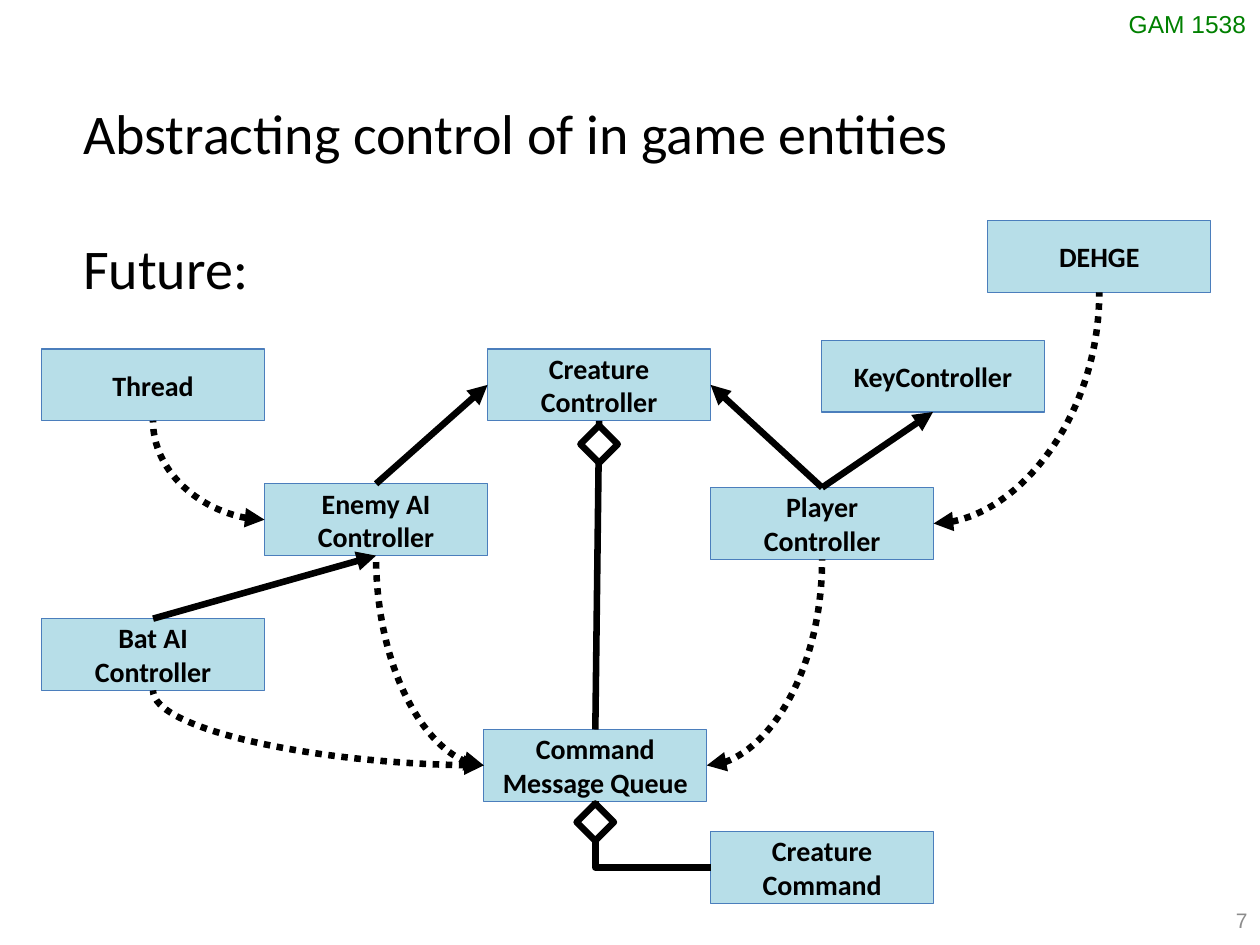
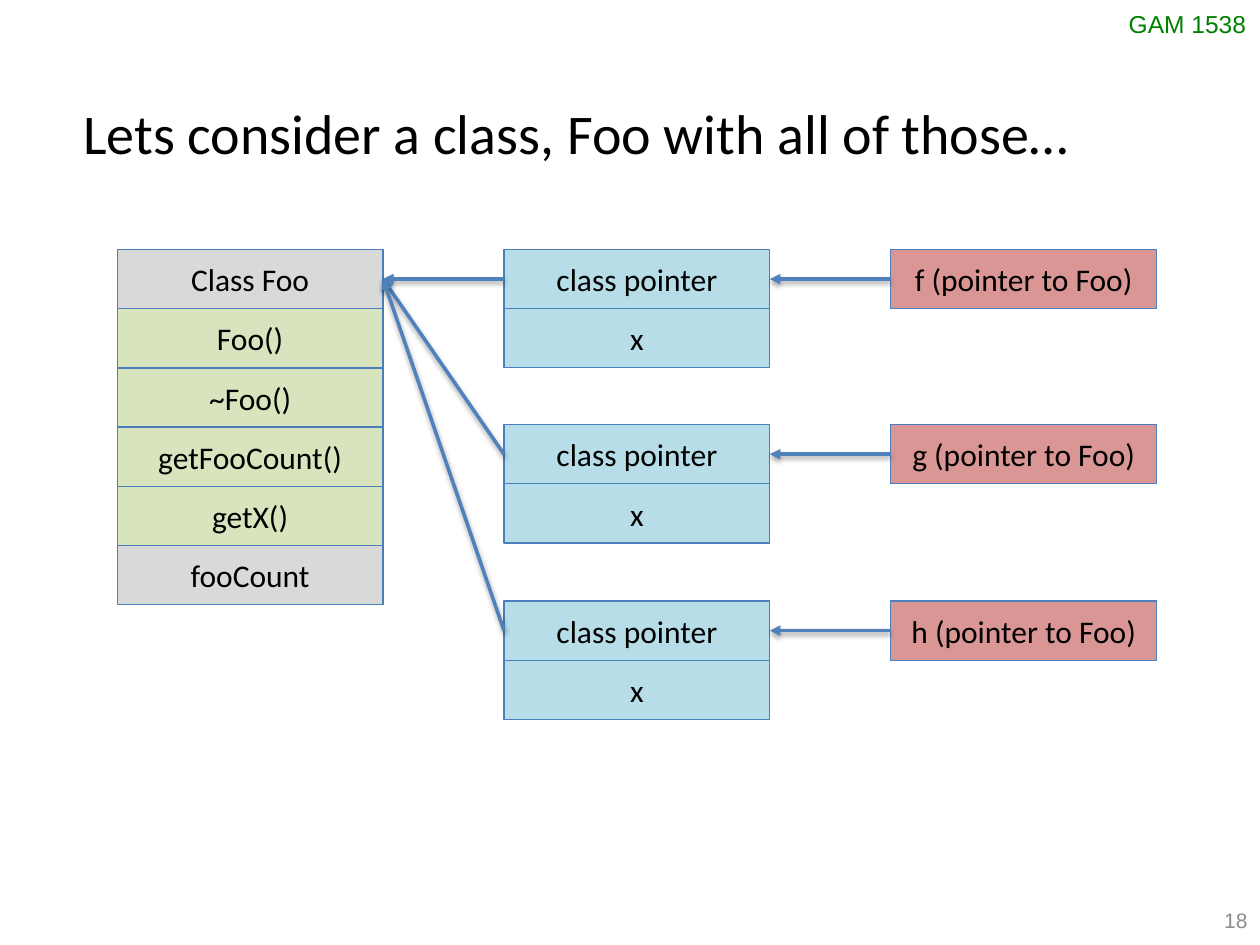
"""Build two class-diagram slides: game controllers and the layout of class Foo."""
from lxml import etree
from pptx import Presentation
from pptx.dml.color import RGBColor
from pptx.enum.dml import MSO_LINE
from pptx.enum.shapes import MSO_CONNECTOR, MSO_SHAPE
from pptx.enum.text import MSO_ANCHOR, MSO_AUTO_SIZE, PP_ALIGN
from pptx.oxml.ns import qn
from pptx.util import Inches, Pt

STRAIGHT, CURVE, ELBOW = MSO_CONNECTOR.STRAIGHT, MSO_CONNECTOR.CURVE, MSO_CONNECTOR.ELBOW
RECTANGLE = MSO_SHAPE.RECTANGLE
DOTTED = MSO_LINE.ROUND_DOT
LEFT_ALIGN, CENTER, RIGHT_ALIGN = PP_ALIGN.LEFT, PP_ALIGN.CENTER, PP_ALIGN.RIGHT
ANCHOR_TOP, ANCHOR_MIDDLE = MSO_ANCHOR.TOP, MSO_ANCHOR.MIDDLE
NO_AUTOFIT = MSO_AUTO_SIZE.NONE
TOP, LEFT, BOTTOM, RIGHT = range(4)

COLORS = {
    "black": "000000", "white": "FFFFFF", "course": "008000", "number": "8C8C8C",
    "blue": "B7DEE8", "green": "D7E4BD", "grey": "D9D9D9", "red": "D99694",
    "outline": "4B7EBC", "pointer": "4F81BD",
}
FORMATS = {
    "title": {"name": "Calibri", "size": Pt(32)},
    "course": {"name": "Arial", "size": Pt(14)},
    "number": {"name": "Arial", "size": Pt(12)},
    "class": {"name": "Calibri", "size": Pt(16), "bold": True},
    "member": {"name": "Calibri", "size": Pt(18)},
}
ONE_BEND = {CURVE: "curvedConnector2", ELBOW: "bentConnector2"}


def color(name):
    return RGBColor.from_string(COLORS[name])


def write_text(shape, text, style, ink, align, anchor, wrap=True):
    frame = shape.text_frame
    frame.text = text
    frame.word_wrap = wrap
    frame.auto_size = NO_AUTOFIT
    frame.vertical_anchor = anchor
    for paragraph in frame.paragraphs:
        paragraph.alignment = align
        for run in paragraph.runs:
            run.font.color.rgb = color(ink)
            for attribute, value in FORMATS[style].items():
                setattr(run.font, attribute, value)


controllers = {
    "creature command": (5.64, 6.6, "Creature\vCommand", "blue"),
    "queue": (3.84, 5.79, "Command\vMessage Queue", "blue"),
    "enemy": (2.1, 3.84, "Enemy AI\nController", "blue"),
    "bat": (0.33, 4.91, "Bat AI\nController", "blue"),
    "player": (5.64, 3.87, "Player\nController", "blue"),
    "thread": (0.33, 2.77, "Thread", "blue"),
    "key": (6.52, 2.7, "KeyController", "blue"),
    "creature": (3.87, 2.77, "Creature\nController", "blue"),
    "engine": (7.84, 1.75, "DEHGE", "blue"),
}
controller_links = [
    (STRAIGHT, "player", TOP, "key", BOTTOM, "tailEnd"),
    (STRAIGHT, "player", TOP, "creature", RIGHT, "tailEnd"),
    (STRAIGHT, "enemy", TOP, "creature", LEFT, "tailEnd"),
    (STRAIGHT, "bat", TOP, "enemy", BOTTOM, "tailEnd"),
    (STRAIGHT, "queue", TOP, "creature", BOTTOM, None),
    (ELBOW, "creature command", LEFT, "queue", BOTTOM, None),
    (CURVE, "enemy", LEFT, "thread", BOTTOM, "headEnd"),
    (CURVE, "player", RIGHT, "engine", BOTTOM, "headEnd"),
    (CURVE, "queue", RIGHT, "player", BOTTOM, "headEnd"),
    (CURVE, "queue", LEFT, "bat", BOTTOM, "headEnd"),
    (CURVE, "queue", LEFT, "enemy", BOTTOM, "headEnd"),
]

class_left, object_left, pointer_left = [0.93 + 3.07 * column for column in range(3)]
object_tops = [1.98, 3.37, 4.77]
row_height = 0.47
members = {}
class_rows = ["Class Foo", "Foo()", "~Foo()", "getFooCount()", "getX()", "fooCount"]
for row, label in enumerate(class_rows):
    fill = "grey" if row in (0, len(class_rows) - 1) else "green"
    members[label] = (class_left, object_tops[0] + row * row_height, label, fill)
member_links = []
for pointer, top in zip("fgh", object_tops):
    members[pointer + " class"] = (object_left, top, "class pointer", "blue")
    members[pointer + " x"] = (object_left, top + row_height, "x", "blue")
    members[pointer] = (pointer_left, top, f"{pointer} (pointer to Foo)", "red")
    member_links += [
        (STRAIGHT, pointer, LEFT, pointer + " class", RIGHT, "tailEnd"),
        (STRAIGHT, pointer + " class", LEFT, "Class Foo", RIGHT, "tailEnd"),
    ]

diagrams = [
    {"title": "Abstracting control of in game entities\nFuture:", "title_height": 1.72,
     "number": "7", "boxes": controllers, "box_size": (1.77, 0.57), "style": "class",
     "links": controller_links, "link_color": "black", "link_width": 3.75,
     "shadow": False, "diamonds": [(4.65, 3.42), (4.62, 6.42)]},
    {"title": "Lets consider a class, Foo with all of those…", "title_height": 1.11,
     "number": "18", "boxes": members, "box_size": (2.11, row_height), "style": "member",
     "links": member_links, "link_color": "pointer", "link_width": 2,
     "shadow": True, "diamonds": []},
]

presentation = Presentation()
presentation.slide_width, presentation.slide_height = Inches(10), Inches(7.5)

for diagram in diagrams:
    slide = presentation.slides.add_slide(presentation.slide_layouts[5])
    shapes = slide.shapes

    title = shapes.title
    title.left, title.top = Inches(0.56), Inches(0.73)
    title.width, title.height = Inches(9), Inches(diagram["title_height"])
    write_text(title, diagram["title"], "title", "black", LEFT_ALIGN, ANCHOR_TOP)
    for paragraph in title.text_frame.paragraphs[1:]:
        paragraph.space_before = Pt(39)

    course = shapes.add_textbox(Inches(8.86), Inches(0.02), Inches(1.14), Inches(0.34))
    write_text(course, "GAM 1538", "course", "course", LEFT_ALIGN, ANCHOR_TOP, wrap=False)
    number = shapes.add_textbox(Inches(7.67), Inches(7.1), Inches(2.33), Inches(0.4))
    write_text(number, diagram["number"], "number", "number", RIGHT_ALIGN, ANCHOR_MIDDLE)

    boxes = {}
    width, height = diagram["box_size"]
    for name, (left, top, label, fill) in diagram["boxes"].items():
        box = shapes.add_shape(RECTANGLE, Inches(left), Inches(top), Inches(width), Inches(height))
        box.shadow.inherit = False
        box.fill.solid()
        box.fill.fore_color.rgb = color(fill)
        box.line.color.rgb = color("outline")
        box.line.width = Pt(0.75)
        write_text(box, label, diagram["style"], "black", CENTER, ANCHOR_MIDDLE)
        boxes[name] = box

    for kind, start, start_side, end, end_side, arrow_end in diagram["links"]:
        connector = shapes.add_connector(kind, 0, 0, 0, 0)
        connector.begin_connect(boxes[start], start_side)
        connector.end_connect(boxes[end], end_side)
        connector.line.color.rgb = color(diagram["link_color"])
        connector.line.width = Pt(diagram["link_width"])
        properties = connector._element.spPr
        if kind in ONE_BEND:
            properties.find(qn("a:prstGeom")).set("prst", ONE_BEND[kind])
        if kind == CURVE:
            connector.line.dash_style = DOTTED
        if arrow_end:
            etree.SubElement(properties.find(qn("a:ln")), qn("a:" + arrow_end), type="triangle")
        effects = etree.SubElement(properties, qn("a:effectLst"))
        if diagram["shadow"]:
            shadow = etree.SubElement(effects, qn("a:outerShdw"), blurRad=str(Pt(3.1)),
                                      dist=str(Pt(1.6)), dir="5400000", rotWithShape="0")
            shade = etree.SubElement(shadow, qn("a:srgbClr"), val=COLORS["black"])
            etree.SubElement(shade, qn("a:alpha"), val="38000")

    for left, top in diagram["diamonds"]:
        diamond = shapes.add_shape(RECTANGLE, Inches(left), Inches(top), Inches(0.21), Inches(0.21))
        diamond.rotation = 315
        diamond.shadow.inherit = False
        diamond.fill.solid()
        diamond.fill.fore_color.rgb = color("white")
        diamond.line.color.rgb = color("black")
        diamond.line.width = Pt(3.75)

presentation.save("out.pptx")
